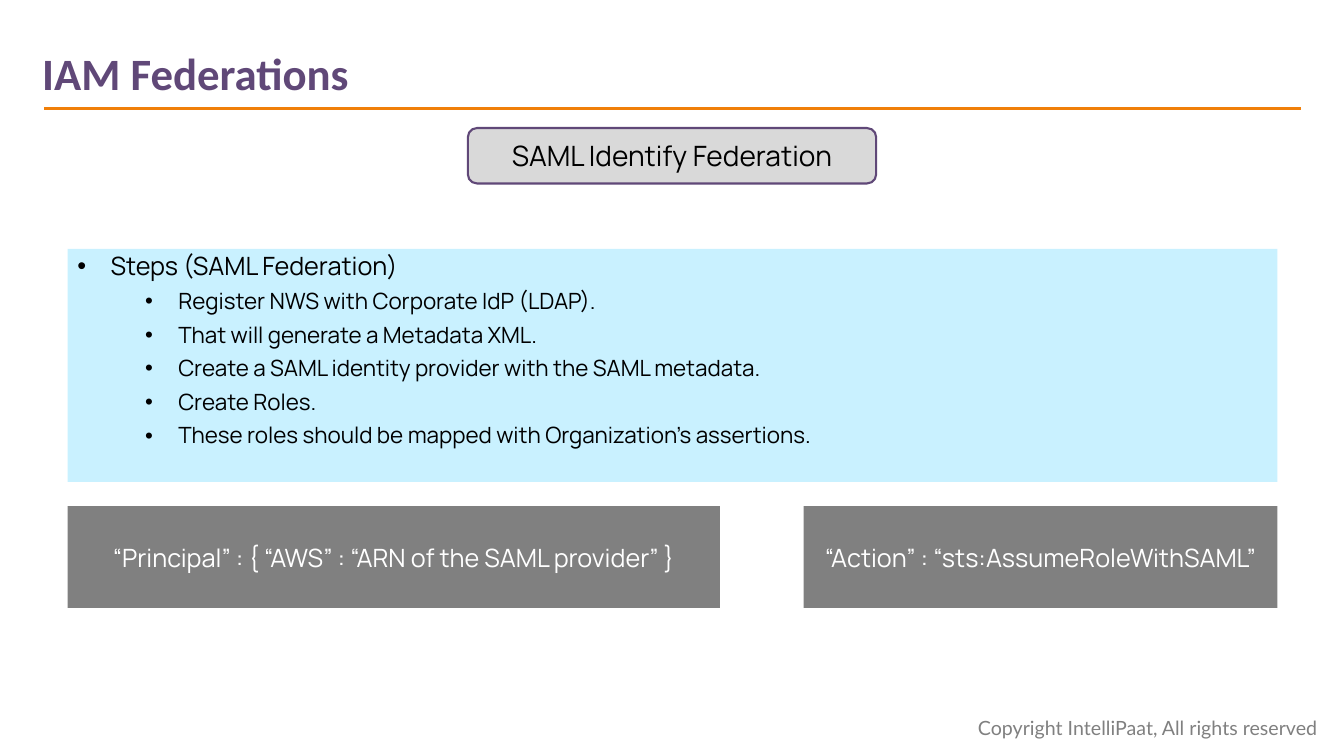
from dataclasses import dataclass

from lxml import etree
from pptx import Presentation
from pptx import util as u
from pptx.dml.color import RGBColor
from pptx.enum import shapes, text
from pptx.oxml import ns


@dataclass(frozen=True)
class Theme:
    purple: str = "604878"
    orange: str = "F07F09"
    sky: str = "C9F1FF"
    gray: str = "808080"
    silver: str = "D9D9D9"
    black: str = "000000"
    white: str = "FFFFFF"
    title_font: str = "Calibri"
    body_font: str = "Manrope"
    footer_font: str = "Lato"
    title_size: int = 32
    heading_size: int = 20
    body_size: int = 18
    step_size: int = 16
    footer_size: int = 14


THEME = Theme()
STEPS = [
    "Register NWS with Corporate IdP (LDAP).",
    "That will generate a Metadata XML.",
    "Create a SAML identity provider with the SAML metadata.",
    "Create Roles.",
    "These roles should be mapped with Organization’s assertions.",
]


def inches(box):
    return [u.Inches(length) for length in box]


def format_runs(paragraph, font_name, size, color, bold=False):
    for run in paragraph.runs:
        run.font.name = font_name
        run.font.size = u.Pt(size)
        run.font.bold = bold
        run.font.color.rgb = RGBColor.from_string(color)


def add_label(slide, box, wording, font_name, size, color, bold=False, wrap=True):
    label = slide.shapes.add_textbox(*inches(box))
    label.text_frame.text = wording
    label.text_frame.word_wrap = wrap
    format_runs(label.text_frame.paragraphs[0], font_name, size, color, bold)


def add_panel(slide, box, fill, kind=shapes.MSO_SHAPE.RECTANGLE, line=None):
    panel = slide.shapes.add_shape(kind, *inches(box))
    panel.shadow.inherit = False
    panel.fill.solid()
    panel.fill.fore_color.rgb = RGBColor.from_string(fill)
    if line:
        panel.line.color.rgb = RGBColor.from_string(line)
        panel.line.width = u.Pt(1.5)
    else:
        panel.line.fill.background()
    panel.text_frame.word_wrap = True
    return panel


def center_text(panel, wording, size, color):
    frame = panel.text_frame
    frame.text = wording
    frame.vertical_anchor = text.MSO_ANCHOR.MIDDLE
    frame.paragraphs[0].alignment = text.PP_ALIGN.CENTER
    format_runs(frame.paragraphs[0], THEME.body_font, size, color)


def add_bullet(paragraph, indent):
    properties = paragraph._p.get_or_add_pPr()
    properties.set("marL", str(u.Inches(indent)))
    properties.set("indent", str(u.Inches(-0.33)))
    font = etree.SubElement(properties, ns.qn("a:buFont"))
    font.set("typeface", "Arial")
    bullet = etree.SubElement(properties, ns.qn("a:buChar"))
    bullet.set("char", "•")


def add_header(slide, box):
    """Place the title above an orange rule at the bottom of the box."""
    left, top, width, height = box
    add_label(slide, (left - 0.12, top, 3.95, 0.64), "IAM Federations",
              THEME.title_font, THEME.title_size, THEME.purple, bold=True)
    bottom = top + height
    rule = slide.shapes.add_connector(
        shapes.MSO_CONNECTOR.STRAIGHT, *inches((left + width, bottom, left, bottom)))
    rule.line.color.rgb = RGBColor.from_string(THEME.orange)
    rule.line.width = u.Pt(2.25)
    etree.SubElement(rule._element.spPr, ns.qn("a:effectLst"))


def add_heading(slide, box):
    heading = add_panel(slide, box, THEME.silver,
                        shapes.MSO_SHAPE.ROUNDED_RECTANGLE, THEME.purple)
    center_text(heading, "SAML Identify Federation", THEME.heading_size, THEME.black)


def add_steps(slide, box):
    frame = add_panel(slide, box, THEME.sky).text_frame
    frame.vertical_anchor = text.MSO_ANCHOR.TOP
    frame.text = "\n".join(["Steps (SAML Federation)"] + STEPS)
    for index, paragraph in enumerate(frame.paragraphs):
        is_step = index > 0
        paragraph.alignment = text.PP_ALIGN.LEFT
        paragraph.line_spacing = 0.9
        if is_step:
            paragraph.level = 1
            paragraph.space_before = u.Pt(6.7)
        add_bullet(paragraph, 1 if is_step else 0.33)
        size = THEME.step_size if is_step else THEME.body_size
        format_runs(paragraph, THEME.body_font, size, THEME.black)


def add_policy(slide, box):
    """Place the principal at the left end of the box and the action at the right."""
    left, top, width, height = box
    principal_width, action_width = 6.47, 4.7
    entries = [
        (left, principal_width, "“Principal” : { “AWS” : “ARN of the SAML provider” }"),
        (left + width - action_width, action_width, "“Action” : “sts:AssumeRoleWithSAML”"),
    ]
    for entry_left, entry_width, wording in entries:
        panel = add_panel(slide, (entry_left, top, entry_width, height), THEME.gray)
        center_text(panel, wording, THEME.body_size, THEME.white)


def add_footer(slide, box):
    add_label(slide, box, "Copyright IntelliPaat, All rights reserved",
              THEME.footer_font, THEME.footer_size, THEME.gray, wrap=False)


def main():
    presentation = Presentation()
    presentation.slide_width = u.Inches(13.33)
    presentation.slide_height = u.Inches(7.5)
    slide = presentation.slides.add_slide(presentation.slide_layouts[6])
    add_footer(slide, (9.6, 7.05, 3.68, 0.34))
    add_header(slide, (0.44, 0.4, 12.46, 0.68))
    add_steps(slide, (0.67, 2.47, 12, 2.31))
    add_policy(slide, (0.67, 5.02, 12, 1.01))
    add_heading(slide, (4.64, 1.27, 4.05, 0.55))
    presentation.save("out.pptx")


if __name__ == "__main__":
    main()
